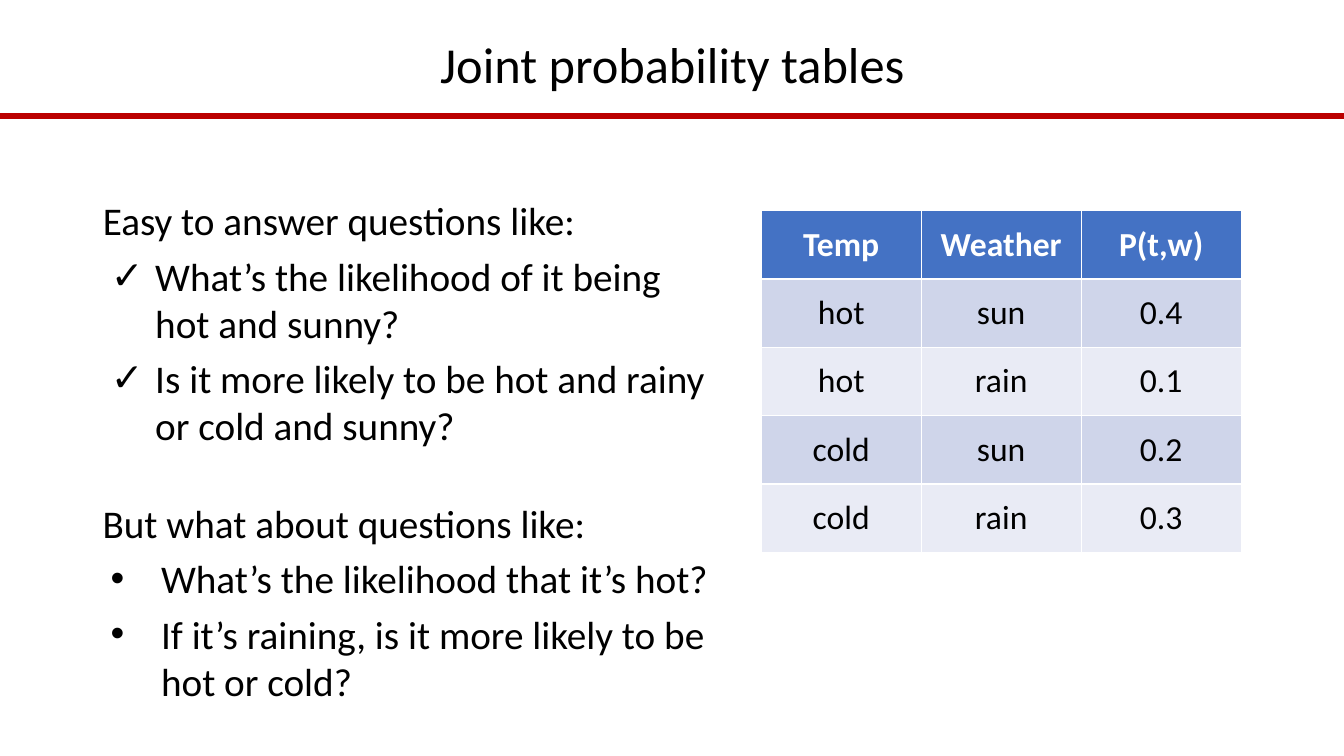
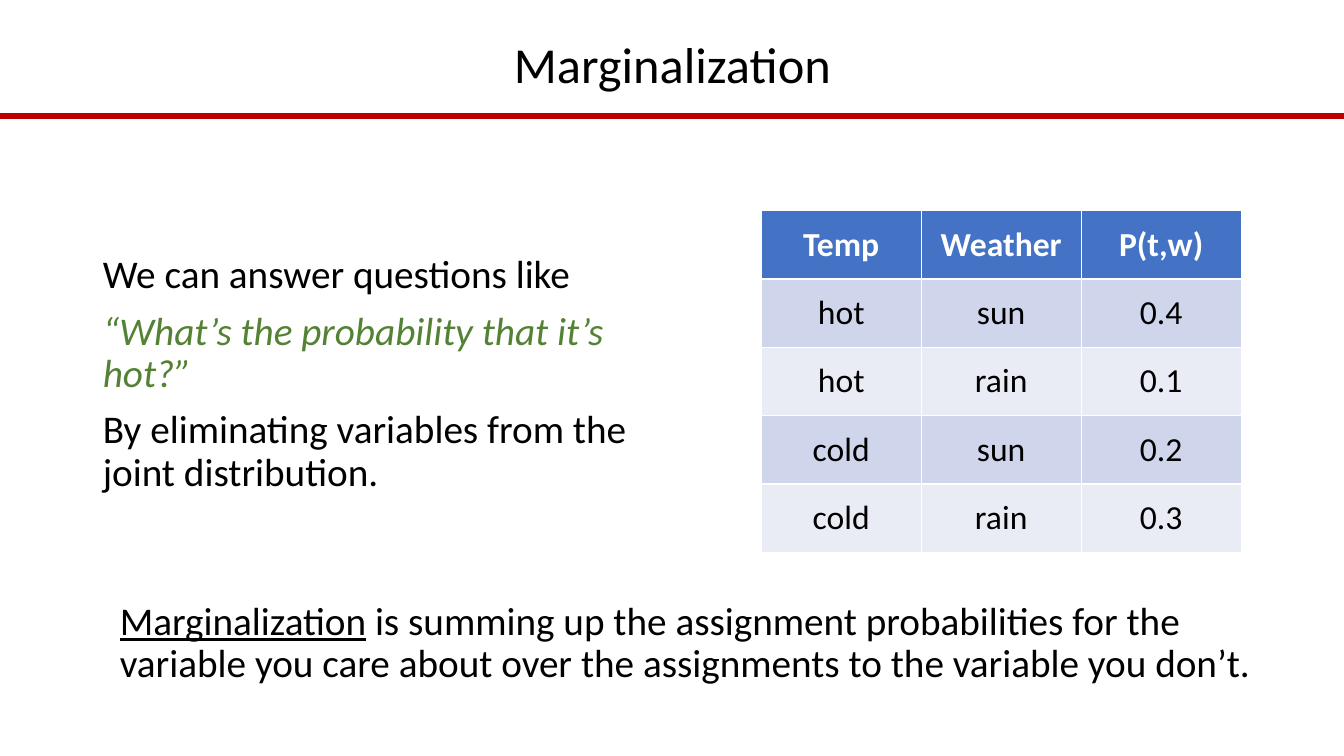
from lxml import etree
from pptx import Presentation
from pptx.dml.color import RGBColor
from pptx.enum.shapes import MSO_CONNECTOR
from pptx.enum.text import MSO_ANCHOR, MSO_AUTO_SIZE, PP_ALIGN
from pptx.oxml.ns import qn
from pptx.util import Inches, Pt

STRAIGHT = MSO_CONNECTOR.STRAIGHT
MIDDLE, TOP = MSO_ANCHOR.MIDDLE, MSO_ANCHOR.TOP
CENTER, LEFT = PP_ALIGN.CENTER, PP_ALIGN.LEFT
NO_FIT = MSO_AUTO_SIZE.NONE

FONT = "Calibri"
BLACK, WHITE, RED, GREEN = "000000", "FFFFFF", "BB0000", "548235"
HEADER, BANDS = "4472C4", ("CFD5EA", "E9EBF5")
W, H = Inches(13.33), Inches(7.5)
rgb = RGBColor.from_string


def share(left, top, width, height):
    """Turn percentages of the slide's size into a position and a size."""
    return [int(n * side / 100) for n, side in
            ((left, W), (top, H), (width, W), (height, H))]


def write(tf, text, p=None, size=28, color=BLACK, bold=False, italic=False,
          underline=False, align=LEFT, spacing=1.0, before=0, bullet=None, hang=(0, 0)):
    """Add a run to p, or to the next paragraph of tf, and return its paragraph."""
    if p is None:
        first = not tf.paragraphs[0].runs
        p = tf.paragraphs[0] if first else tf.add_paragraph()
        pPr = p._p.get_or_add_pPr()
        pPr.set("marL", str(Inches(hang[0])))
        pPr.set("indent", str(Inches(hang[1])))
        if bullet:
            etree.SubElement(pPr, qn("a:buFont")).set("typeface", "Arial")
            etree.SubElement(pPr, qn("a:buChar")).set("char", bullet)
        else:
            etree.SubElement(pPr, qn("a:buNone"))
        p.alignment, p.line_spacing = align, spacing
        p.space_before = Pt(0 if first else before)
    r = p.add_run()
    r.text = text
    f = r.font
    f.name, f.size, f.color.rgb = FONT, Pt(size), rgb(color)
    f.bold, f.italic, f.underline = bold, italic, underline
    return p


CHECK = dict(bullet="✓", hang=(0.52, -0.44))
DOT = dict(bullet="•", hang=(0.58, -0.5))
ROWS = [("Temp", "Weather", "P(t,w)"),
        ("hot", "sun", "0.4"),
        ("hot", "rain", "0.1"),
        ("cold", "sun", "0.2"),
        ("cold", "rain", "0.3")]

# Each slide: title, paragraph rhythm, body and lower box.
# Each box: its place, then paragraphs made of (text, format) runs.
SLIDES = [
    ("Joint probability tables", dict(spacing=1.0, before=6),
     ((6.9, 25.33, 47.11, 36.53), [
         [("Easy to answer questions like:", {})],
         [("What’s the likelihood of it being hot and sunny?", CHECK)],
         [("Is it more likely to be hot and rainy or cold and sunny?", CHECK)]]),
     ((6.9, 65.33, 48.61, 30.67), [
         [("But what about questions like:", {})],
         [("What’s the likelihood that it’s hot?", DOT)],
         [("If it’s raining, is it more likely to be hot or cold?", DOT)]])),
    ("Marginalization", dict(spacing=0.9, before=10),
     ((6.9, 33.07, 44.41, 34.67), [
         [("We can answer questions like", {})],
         [("“What’s the probability that it’s hot?”", dict(color=GREEN, italic=True))],
         [("By eliminating variables from the joint distribution.", {})]]),
     ((8.18, 78.93, 86.27, 15.47), [
         [("Marginalization", dict(underline=True)),
          (" is summing up the assignment probabilities for the variable you care "
           "about over the assignments to the variable you don’t.", {})]])),
]

prs = Presentation()
prs.slide_width, prs.slide_height = W, H

for title, rhythm, body, lower in SLIDES:
    s = prs.slides.add_slide(prs.slide_layouts[1])

    rule_y = int(H * 0.1533)
    rule = s.shapes.add_connector(STRAIGHT, 0, rule_y, W, rule_y)
    rule.line.color.rgb, rule.line.width = rgb(RED), Pt(4)
    etree.SubElement(rule._element.spPr, qn("a:effectLst"))

    sp = s.shapes.title
    sp.left, sp.top, sp.width, sp.height = share(6.9, 4.53, 86.27, 8.8)
    tf = sp.text_frame
    tf.auto_size, tf.vertical_anchor = NO_FIT, MIDDLE
    write(tf, title, size=36, align=CENTER, spacing=0.9)

    lower_box = s.shapes.add_textbox(*share(*lower[0]))
    for sp, (place, paragraphs) in ((s.placeholders[1], body), (lower_box, lower)):
        sp.left, sp.top, sp.width, sp.height = share(*place)
        tf = sp.text_frame
        tf.word_wrap, tf.auto_size, tf.vertical_anchor = True, NO_FIT, TOP
        for runs in paragraphs:
            p = None
            for text, fmt in runs:
                p = write(tf, text, p, **rhythm, **fmt)

    table = s.shapes.add_table(len(ROWS), len(ROWS[0]),
                               *share(56.64, 27.87, 35.71, 45.2)).table
    for i, row in enumerate(ROWS):
        for j, text in enumerate(row):
            cell = table.cell(i, j)
            cell.vertical_anchor = MIDDLE
            cell.fill.solid()
            cell.fill.fore_color.rgb = rgb(BANDS[(i - 1) % 2] if i else HEADER)
            write(cell.text_frame, text, size=24, align=CENTER,
                  color=BLACK if i else WHITE, bold=i == 0)

prs.save("out.pptx")
